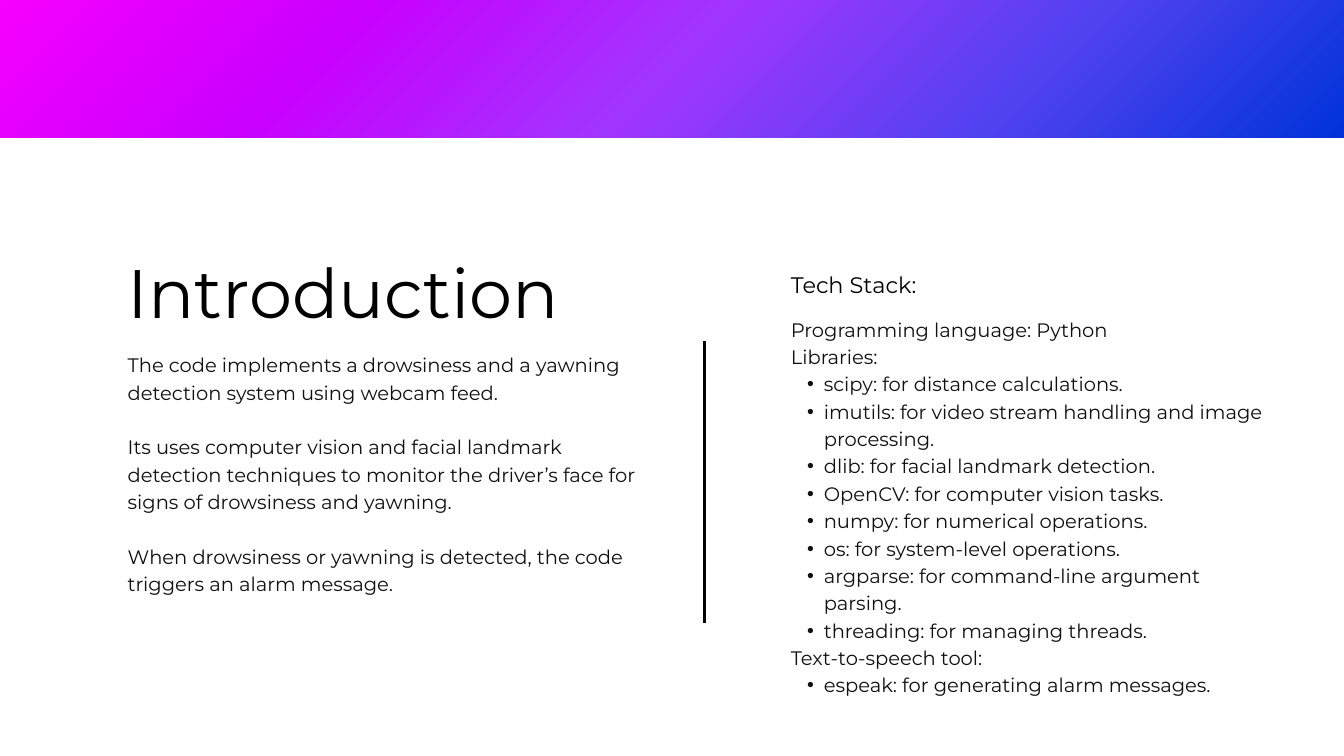
from lxml.etree import SubElement
from pptx import Presentation
from pptx.dml.color import RGBColor
from pptx.enum.shapes import MSO_CONNECTOR, MSO_SHAPE
from pptx.enum.text import MSO_ANCHOR, MSO_AUTO_SIZE, PP_ALIGN
from pptx.oxml.ns import qn
from pptx.util import Pt

FONT = "Montserrat"
BODY_SIZE, BODY_LEADING = 20.9, 29.3
BLACK, INK = "000000", "101010"
BAND_COLOURS = ["F600FE", "C900FE", "A136FF", "5142F0", "0033D9"]

INTRODUCTION = [
    "The code implements a drowsiness and a yawning detection system using webcam feed.",
    "Its uses computer vision and facial landmark detection techniques to monitor "
    "the driver’s face for signs of drowsiness and yawning.",
    "When drowsiness or yawning is detected, the code triggers an alarm message.",
]
TECH_STACK = [
    ("Programming language: Python", []),
    ("Libraries:", [
        "scipy: for distance calculations.",
        "imutils: for video stream handling and image processing.",
        "dlib: for facial landmark detection.",
        "OpenCV: for computer vision tasks.",
        "numpy: for numerical operations.",
        "os: for system-level operations.",
        "argparse: for command-line argument parsing.",
        "threading: for managing threads.",
    ]),
    ("Text-to-speech tool:", ["espeak: for generating alarm messages."]),
]


def colour(value):
    return RGBColor.from_string(value)


def place(shape, left, top, width, height):
    shape.left, shape.top = Pt(left), Pt(top)
    shape.width, shape.height = Pt(width), Pt(height)


def prepare_frame(shape):
    frame = shape.text_frame
    frame.word_wrap = True
    frame.auto_size = MSO_AUTO_SIZE.NONE
    frame.vertical_anchor = MSO_ANCHOR.TOP
    frame.margin_left = frame.margin_top = frame.margin_right = frame.margin_bottom = 0
    return frame


def add_bullet(para):
    properties = para._p.get_or_add_pPr()
    properties.set("marL", str(Pt(35.3)))
    properties.set("indent", str(Pt(-18)))
    SubElement(properties, qn("a:buFont")).set("typeface", "Arial")
    SubElement(properties, qn("a:buChar")).set("char", "•")


def write(frame, text, size=BODY_SIZE, leading=BODY_LEADING, ink=INK, before=0, bullet=False):
    # The first text fills the paragraph the frame already has
    para = frame.add_paragraph() if frame.text else frame.paragraphs[0]
    para.text = text
    para.alignment = PP_ALIGN.LEFT
    para.line_spacing = Pt(leading)
    para.space_before = Pt(before)
    if bullet:
        para.level = 1
        add_bullet(para)
    para.font.name = FONT
    para.font.size = Pt(size)
    para.font.color.rgb = colour(ink)


def add_text_box(page, left, top, width, height):
    return prepare_frame(page.shapes.add_textbox(Pt(left), Pt(top), Pt(width), Pt(height)))


def add_band(page, left, top, width, height):
    band = page.shapes.add_shape(MSO_SHAPE.RECTANGLE, Pt(left), Pt(top), Pt(width), Pt(height))
    band.shadow.inherit = False
    band.line.fill.background()
    band.fill.gradient()
    band.fill.gradient_angle = 315
    # Evenly spaced stops replace the two default ones
    stops = band._element.spPr.find(qn("a:gradFill")).find(qn("a:gsLst"))
    for stop in list(stops):
        stops.remove(stop)
    for index, value in enumerate(BAND_COLOURS):
        stop = SubElement(stops, qn("a:gs"))
        stop.set("pos", str(100000 * index // (len(BAND_COLOURS) - 1)))
        SubElement(stop, qn("a:srgbClr")).set("val", value)


def add_introduction(page, left, top, width, height):
    # Heading
    place(page.shapes.title, left, top, 661, 98)
    write(prepare_frame(page.shapes.title), "Introduction", 73.4, 102.8, BLACK)
    # Body, one blank line's height between paragraphs
    frame = add_text_box(page, left, top + 121, width, height - 121)
    for index, text in enumerate(INTRODUCTION):
        write(frame, text, before=BODY_LEADING if index else 0)


def add_tech_stack(page, left, top, width, height):
    # Heading
    write(add_text_box(page, left, top, width, 31), "Tech Stack:", 24, 33.6, BLACK)
    # Groups with their bulleted items
    frame = add_text_box(page, left, top + 50.4, width, height - 50.4)
    for group, items in TECH_STACK:
        write(frame, group)
        for item in items:
            write(frame, item, bullet=True)


def add_divider(page, x, top, bottom):
    divider = page.shapes.add_connector(MSO_CONNECTOR.STRAIGHT, Pt(x), Pt(top), Pt(x), Pt(bottom))
    divider.line.color.rgb = colour(BLACK)
    divider.line.width = Pt(3)
    SubElement(divider._element.spPr, qn("a:effectLst"))


def main():
    deck = Presentation()
    deck.slide_width, deck.slide_height = Pt(1440), Pt(810)
    page = deck.slides.add_slide(deck.slide_layouts[5])
    page.background.fill.solid()
    page.background.fill.fore_color.rgb = colour("FFFFFF")

    add_introduction(page, 136.8, 253.4, 566.6, 380)
    add_tech_stack(page, 847.4, 285.8, 506, 458.6)
    add_band(page, 0, 0, 1440, 147.6)
    add_divider(page, 754.5, 365, 668)
    deck.save("out.pptx")


if __name__ == "__main__":
    main()
